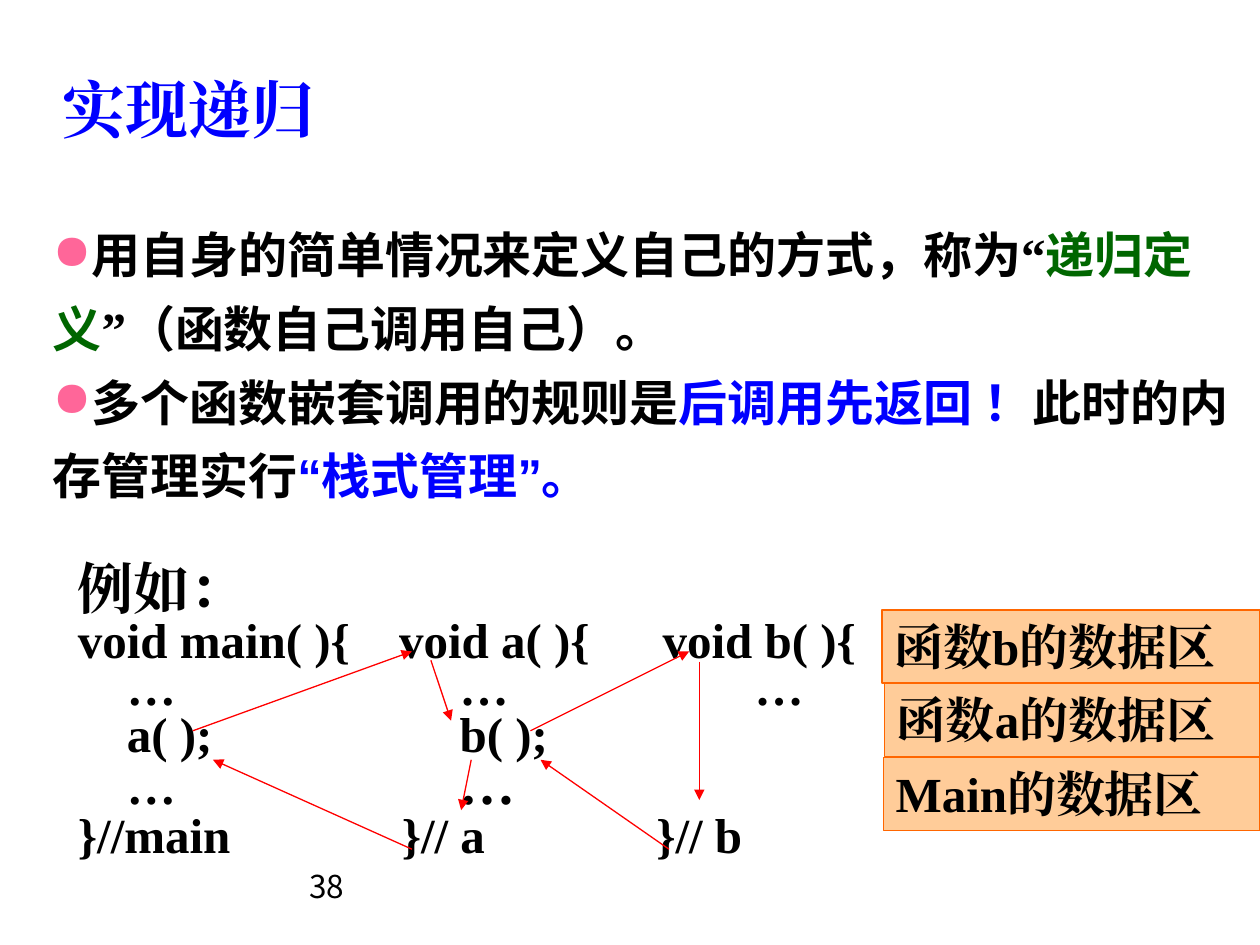
from lxml import etree
from pptx import Presentation
from pptx.dml.color import RGBColor
from pptx.enum.shapes import MSO_CONNECTOR, MSO_SHAPE
from pptx.enum.text import MSO_ANCHOR, PP_ALIGN
from pptx.oxml.ns import qn
from pptx.util import Inches, Pt

LINE = MSO_CONNECTOR.STRAIGHT
RECT = MSO_SHAPE.RECTANGLE
TOP = MSO_ANCHOR.TOP
LEFT, RIGHT = PP_ALIGN.LEFT, PP_ALIGN.RIGHT

BLACK = RGBColor(0x00, 0x00, 0x00)
BLUE = RGBColor(0x00, 0x00, 0xFF)
GREEN = RGBColor(0x00, 0x66, 0x00)
RED = RGBColor(0xFF, 0x00, 0x00)
PEACH = RGBColor(0xFF, 0xCC, 0x99)
ORANGE = RGBColor(0xFF, 0x66, 0x00)
PINK = RGBColor(0xFF, 0x66, 0x99)

SANS, SERIF, ARIAL = "Noto Sans CJK SC", "Times New Roman", "Arial"

COLS, ROWS = 100, 75
WIDE, HIGH = Inches(10), Inches(7.5)

POINTS = [
    [("用自身的简单情况来定义自己的方式，称为", SANS, BLACK),
     ("“", SERIF, BLACK), ("递归定义", SANS, GREEN), ("”", SERIF, BLACK),
     ("（函数自己调用自己）。", SANS, BLACK)],
    [("多个函数嵌套调用的规则是", SANS, BLACK),
     ("后调用先返回 ！", SANS, BLUE), ("此时的内存管理实行", SANS, BLACK),
     ("“", ARIAL, BLUE), ("栈式管理", SANS, BLUE), ("”", ARIAL, BLUE),
     ("。", SANS, BLUE)],
]

HEADS, BODY = (25.5, 46.4), (30.3, 53.7)
CODE = [
    ([("例如：", 32)], ()),
    ([("void main( ){\tvoid a( ){\tvoid b( ){", 28)], HEADS),
    ([("    …\t…\t…", 28)], BODY),
    ([("    a( );\tb( );", 28)], BODY),
    ([("    …\t", 28), ("…", 32)], BODY),
    ([("}//main\t}// a\t}// b", 28)], (25.7, 45.9)),
]

STACK = ["函数b的数据区", "函数a的数据区", "Main的数据区"]

CALLS = [
    (15.3, 58, 32.7, 51.7), (34.2, 52.4, 35.8, 57.2),
    (42.1, 58, 54.7, 51.7), (55.5, 52.5, 55.5, 63.5),
    (53.1, 67.4, 42.9, 60.3), (37.4, 60.3, 36.6, 64.3),
    (32.7, 67.4, 16.9, 60.3),
]


def col(n):
    return round(WIDE * n / COLS)


def row(n):
    return round(HIGH * n / ROWS)


def place(x, y, w, h):
    return col(x), row(y), col(w), row(h)


def add_run(para, text, size, font=SERIF, color=BLACK, bold=True):
    """Add a run whose Latin and East Asian fonts agree."""
    run = para.add_run()
    run.text = text
    run.font.size, run.font.bold = Pt(size), bold
    run.font.name = font
    run.font.color.rgb = color
    east = etree.SubElement(run.font._element, qn("a:ea"))
    east.set("typeface", font)


def add_box(slide, spot, wrap=True):
    frame = slide.shapes.add_textbox(*place(*spot)).text_frame
    frame.word_wrap = wrap
    return frame


def add_paras(frame, count):
    """Return count paragraphs, the first being the frame's own."""
    return [frame.paragraphs[0]] + [frame.add_paragraph() for _ in range(count - 1)]


def add_dot(para):
    props = para._p.get_or_add_pPr()
    props.set("marL", "0")
    props.set("indent", "0")
    tint = etree.SubElement(props, qn("a:buClr"))
    etree.SubElement(tint, qn("a:srgbClr")).set("val", str(PINK))
    etree.SubElement(props, qn("a:buChar")).set("char", "●")


def add_tabs(para, stops):
    tabs = etree.SubElement(para._p.get_or_add_pPr(), qn("a:tabLst"))
    for stop in stops:
        tab = etree.SubElement(tabs, qn("a:tab"))
        tab.set("pos", str(col(stop)))
        tab.set("algn", "l")


def add_points(slide):
    frame = add_box(slide, (3.2, 16.2, 96.8, 24))
    for para, runs in zip(add_paras(frame, len(POINTS)), POINTS):
        add_dot(para)
        para.line_spacing = 1.25
        for text, font, color in runs:
            add_run(para, text, 28, font, color)


def add_code(slide):
    frame = add_box(slide, (5.2, 44.5, 68.1, 24.5))
    for para, (runs, stops) in zip(add_paras(frame, len(CODE)), CODE):
        if stops:
            add_tabs(para, stops)
        para.line_spacing = 0.8
        for text, size in runs:
            add_run(para, text, size)


def add_cell(slide, text, x, y):
    """Add one stack frame that reaches the right edge."""
    cell = slide.shapes.add_shape(RECT, *place(x, y, COLS - x, 5.8))
    cell.shadow.inherit = False
    cell.fill.solid()
    cell.fill.fore_color.rgb = PEACH
    cell.line.color.rgb = ORANGE
    cell.line.width = Pt(0.75)
    frame = cell.text_frame
    frame.word_wrap = True
    frame.vertical_anchor = TOP
    para = frame.paragraphs[0]
    para.alignment = LEFT
    add_run(para, text, 28)


def add_arrow(slide, x1, y1, x2, y2):
    arrow = slide.shapes.add_connector(LINE, col(x1), row(y1), col(x2), row(y2))
    arrow.line.color.rgb = RED
    arrow.line.width = Pt(0.75)
    tip = etree.SubElement(arrow.line._get_or_add_ln(), qn("a:tailEnd"))
    tip.set("type", "triangle")
    etree.SubElement(arrow._element.spPr, qn("a:effectLst"))


def main():
    deck = Presentation()
    deck.slide_width, deck.slide_height = WIDE, HIGH
    slide = deck.slides.add_slide(deck.slide_layouts[6])

    page = add_box(slide, (7.5, 68.3, 20.8, 5)).paragraphs[0]
    page.alignment = RIGHT
    add_run(page, "38", 18, SANS, bold=False)

    add_points(slide)
    for i, (text, x) in enumerate(zip(STACK, (70, 70.2, 70.1))):
        add_cell(slide, text, x, 48.4 + 5.85 * i)

    title = add_box(slide, (4, 5.1, 22.3, 7.1), wrap=False)
    add_run(title.paragraphs[0], "实现递归", 36, color=BLUE)

    add_code(slide)
    for ends in CALLS:
        add_arrow(slide, *ends)
    deck.save("out.pptx")


if __name__ == "__main__":
    main()
